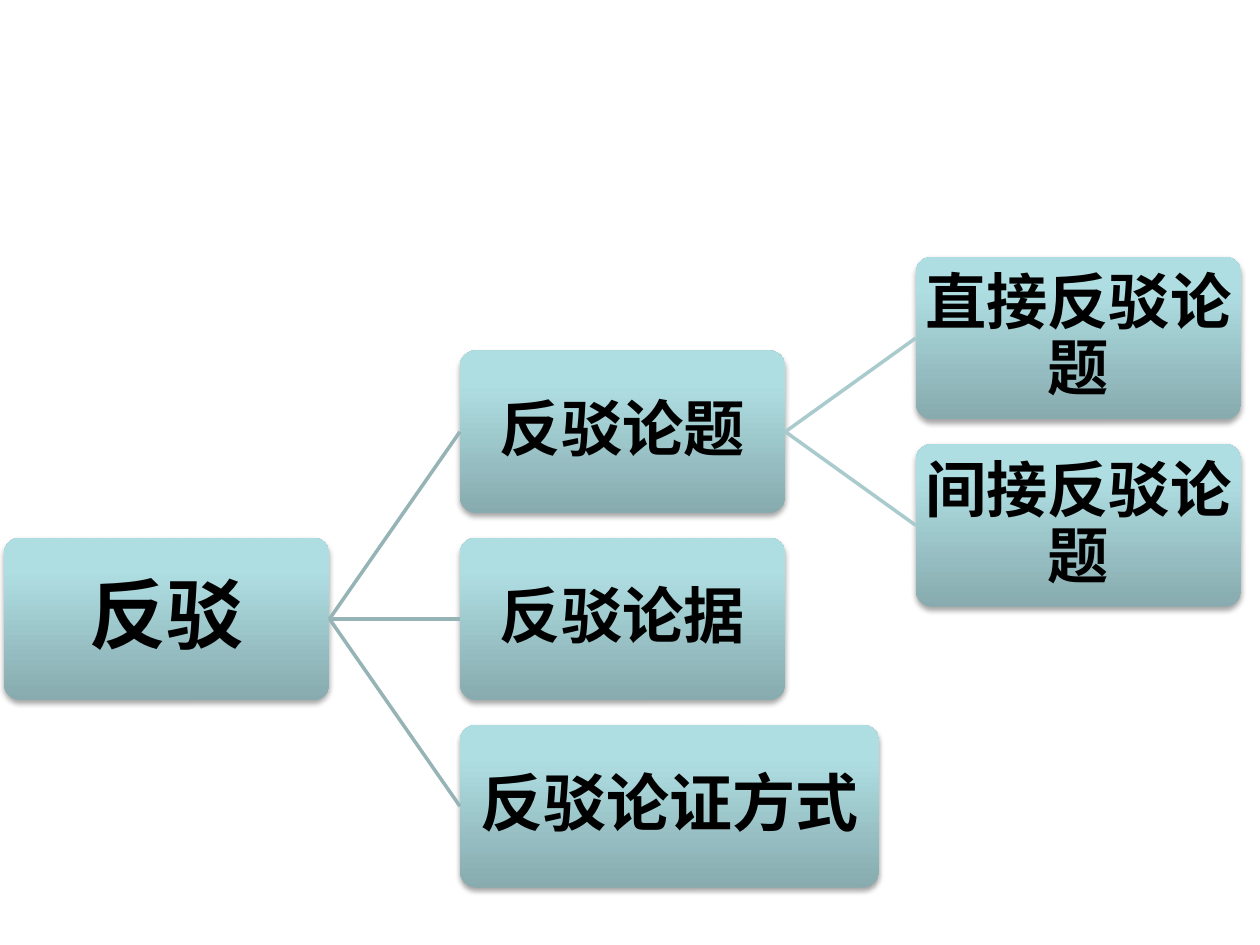
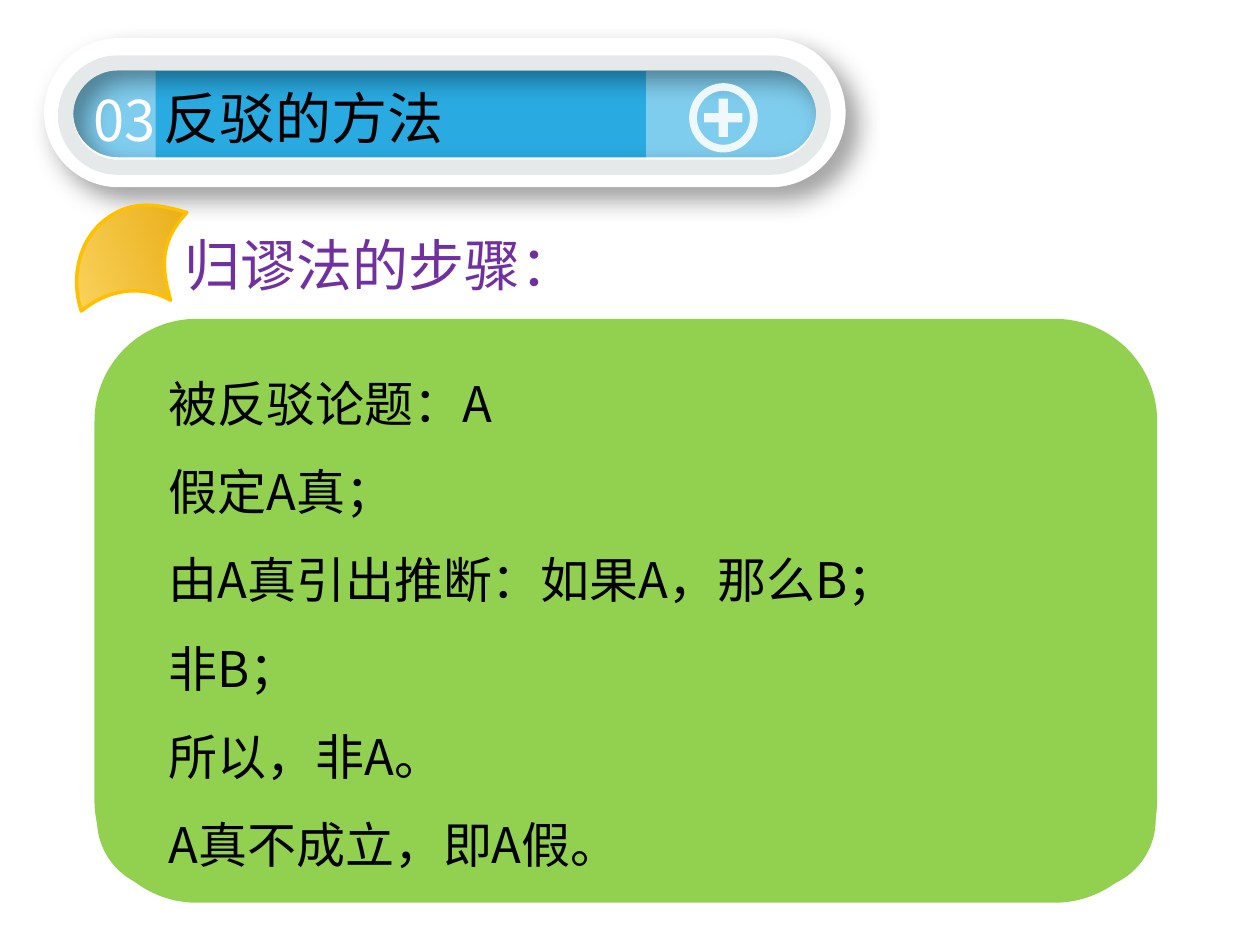
import math

import lxml.etree
import pptx
import pptx.dml.color
import pptx.enum.shapes
import pptx.enum.text
import pptx.oxml.ns
import pptx.util

Pt = pptx.util.Pt
SHAPES = pptx.enum.shapes.MSO_SHAPE
ANCHOR = pptx.enum.text.MSO_ANCHOR
ALIGN = pptx.enum.text.PP_ALIGN
qn = pptx.oxml.ns.qn

# Content: name, parent, column, row, width, text size
TREE = [
    ("反驳", None, 0, 0, 186, 44),
    ("反驳论题", "反驳", 1, -1, 186, 35),
    ("反驳论据", "反驳", 1, 0, 186, 35),
    ("反驳论证方式", "反驳", 1, 1, 239.6, 36),
    ("直接反驳论题", "反驳论题", 2, -1.5, 186, 35),
    ("间接反驳论题", "反驳论题", 2, -0.5, 186, 35),
]
SECTION_NUMBER = "03"
SECTION_TITLE = "反驳的方法"
STEPS_HEADING = "归谬法的步骤："
STEPS = [
    "被反驳论题：A",
    "假定A真；",
    "由A真引出推断：如果A，那么B；",
    "非B；",
    "所以，非A。",
    "A真不成立，即A假。",
]

# Shared style
FONT = "Noto Sans CJK SC"
COLORS = {
    "black": "000000", "white": "FFFFFF", "purple": "7030A0",
    "box_dark": "87ABAE", "box_light": "AFDEE2",
    "link_1": "96B3B6", "link_2": "AACBCE",
    "blue": "29ABE2", "light_blue": "7FCDEE", "rim": "E5E9EA",
    "green": "92D050", "gold": "FFC000",
    "leaf_dark": "E4A302", "leaf_light": "FFDD71",
}

# Tree grid
TREE_LEFT, TREE_MIDDLE = 2.3, 353.7
COLUMN_PITCH, ROW_PITCH, BOX_HEIGHT = 260.5, 107, 93

# Banner pills: left, top, width, height
BANNER_BAND = (41.8, 40.3, 424.8, 51)
BANNER_LEFT_END = (41.3, 40.3, 47.6, 51)
BANNER_RIGHT_END = (369.2, 40.3, 97.2, 51)
OUTER_RING = [(25.2, 21.8, 458, 85.2), (41.8, 38.9, 424.6, 51)]
INNER_RING = [(33.1, 31.7, 441.6, 68.2), (41.8, 40.3, 424.6, 51)]

# Plus icon
ICON_CIRCLES = [(393.8, 47.5, 39.2, 39.6), (398.2, 51.8, 30.4, 31)]
PLUS_CENTER, PLUS_REACH, PLUS_HALF_ARM = (413.3, 67.3), 10.9, 2.6

# Green panel: left, top, width, height, corner
PANEL_PARTS = [
    (54, 182.2, 607.2, 333.6, 0.175),
    (55.4, 428.4, 605, 80, 0.5),
    (55.4, 199.4, 605, 80, 0.5),
]

# Leaf outline as it stands: start, then cubic curves (control, control, end)
LEAF_ROTATION = 318.6
LEAF_START = (97.5, 171.5)
LEAF_CURVES = [
    ((81, 162.5), (62, 165), (46.5, 177.8)),
    ((40, 158), (45, 134), (64.8, 122.4)),
    ((78, 114.5), (92, 117), (106.8, 121.5)),
    ((93, 136), (91, 150), LEAF_START),
]


def rgb(name):
    return pptx.dml.color.RGBColor.from_string(COLORS[name])


def fill_solid(shape, color, opacity=100):
    shape.shadow.inherit = False
    shape.line.fill.background()
    shape.fill.solid()
    shape.fill.fore_color.rgb = rgb(color)
    if opacity < 100:
        tone = next(shape.element.spPr.iter(qn("a:srgbClr")))
        lxml.etree.SubElement(tone, qn("a:alpha"), val=str(opacity * 1000))


def fill_gradient(shape, first, last, last_position, angle):
    shape.shadow.inherit = False
    shape.line.fill.background()
    shape.fill.gradient()
    shape.fill.gradient_angle = angle
    stops = zip(shape.fill.gradient_stops, (first, last), (0, last_position))
    for stop, color, position in stops:
        stop.color.rgb = rgb(color)
        stop.position = position


def add_shadow(shape, opacity, blur, distance, direction):
    effects = shape.element.spPr.find(qn("a:effectLst"))
    shadow = lxml.etree.SubElement(
        effects, qn("a:outerShdw"), blurRad=str(Pt(blur)), dist=str(Pt(distance)),
        dir=str(direction * 60000), algn="ctr", rotWithShape="0")
    tone = lxml.etree.SubElement(shadow, qn("a:srgbClr"), val=COLORS["black"])
    lxml.etree.SubElement(tone, qn("a:alpha"), val=str(opacity * 1000))


def add_preset(slide, kind, left, top, width, height, adjustment):
    shape = slide.shapes.add_shape(kind, Pt(left), Pt(top), Pt(width), Pt(height))
    shape.adjustments[0] = adjustment
    return shape


def add_outline(slide, contours):
    """Each contour is a start point and a list of cubic curves."""
    builder = None
    for start, curves in contours:
        first = Pt(start[0]), Pt(start[1])
        if builder is None:
            builder = slide.shapes.build_freeform(*first)
        else:
            builder.move_to(*first)
        builder.add_line_segments(
            [(Pt(x), Pt(y)) for curve in curves for x, y in curve], close=True)
    shape = builder.convert_to_shape()

    # Every three straight segments become one cubic curve
    segments = list(shape.element.spPr.iter(qn("a:lnTo")))
    for index in range(0, len(segments), 3):
        curve = lxml.etree.Element(qn("a:cubicBezTo"))
        segments[index].addprevious(curve)
        for segment in segments[index:index + 3]:
            curve.append(segment[0])
            segment.getparent().remove(segment)
    return shape


def straight(*point):
    return (point, point, point)


def pill(left, top, width, height, round_left=True, round_right=True):
    radius, right, bottom = height / 2, left + width, top + height
    middle = top + radius
    handle = 0.55 * radius

    def end(side, inner, outward, start_y, end_y):
        reach = outward * handle
        lift = handle if start_y < end_y else -handle
        return [
            ((inner + reach, start_y), (side, middle - lift), (side, middle)),
            ((side, middle + lift), (inner + reach, end_y), (inner, end_y)),
        ]

    right_inner = right - radius if round_right else right
    left_inner = left + radius if round_left else left
    right_side = end(right, right_inner, 1, top, bottom) if round_right else [straight(right, bottom)]
    left_side = end(left, left_inner, -1, bottom, top) if round_left else [straight(left, top)]
    curves = right_side + [straight(left_inner, bottom)] + left_side + [straight(right_inner, top)]
    return (right_inner, top), curves


def plus(center, reach, arm):
    corner = [(arm, -reach), (arm, -arm), (reach, -arm)]
    points = []
    for _ in range(4):
        points += [(center[0] + x, center[1] + y) for x, y in corner]
        corner = [(-y, x) for x, y in corner]
    return points[0], [straight(*point) for point in points[1:]]


def rotate(point, degrees):
    cosine, sine = math.cos(math.radians(degrees)), math.sin(math.radians(degrees))
    return point[0] * cosine - point[1] * sine, point[0] * sine + point[1] * cosine


def write(shape, lines, size, color, font=FONT, bold=False, align=ALIGN.LEFT,
          spacing=1.0, wrap=True, anchor=ANCHOR.TOP):
    frame = shape.text_frame
    frame.text = "\n".join(lines)
    frame.word_wrap = wrap
    frame.auto_size = pptx.enum.text.MSO_AUTO_SIZE.NONE
    frame.vertical_anchor = anchor
    for paragraph in frame.paragraphs:
        paragraph.alignment = align
        paragraph.line_spacing = spacing
        paragraph.space_before = Pt(0)
        paragraph.font.name = font
        paragraph.font.size = Pt(size)
        paragraph.font.bold = bold
        paragraph.font.color.rgb = rgb(color)


def add_text(slide, left, top, width, height, lines, size, color, **style):
    box = slide.shapes.add_textbox(Pt(left), Pt(top), Pt(width), Pt(height))
    write(box, lines, size, color, **style)


def build_tree(slide):
    boxes = {}
    for name, parent, column, row, width, size in TREE:
        box = add_preset(
            slide, SHAPES.ROUNDED_RECTANGLE, TREE_LEFT + column * COLUMN_PITCH,
            TREE_MIDDLE + row * ROW_PITCH - BOX_HEIGHT / 2, width, BOX_HEIGHT, 0.1)
        fill_gradient(box, "box_dark", "box_light", 0.8, 90)
        add_shadow(box, 35, 3.1, 1.8, 90)
        frame = box.text_frame
        frame.margin_left = frame.margin_right = Pt(1.5)
        frame.margin_top = frame.margin_bottom = Pt(1.5)
        write(box, [name], size, "black", font="Arial", bold=True,
              align=ALIGN.CENTER, spacing=0.9, anchor=ANCHOR.MIDDLE)
        boxes[name] = box
        if parent:
            link = slide.shapes.add_connector(
                pptx.enum.shapes.MSO_CONNECTOR.STRAIGHT, 0, 0, 0, 0)
            link.begin_connect(boxes[parent], 3)
            link.end_connect(box, 1)
            link.line.color.rgb = rgb(f"link_{column}")
            link.line.width = Pt(2)
            lxml.etree.SubElement(link.element.spPr, qn("a:effectLst"))


def build_banner(slide):
    # Coloured band with lighter ends
    fill_solid(add_outline(slide, [pill(*BANNER_BAND)]), "blue")
    fill_solid(add_outline(slide, [pill(*BANNER_RIGHT_END, round_left=False)]), "light_blue")
    fill_solid(add_outline(slide, [pill(*BANNER_LEFT_END, round_right=False)]), "light_blue")

    # Rings around the band
    outer = add_outline(slide, [pill(*place) for place in OUTER_RING])
    fill_solid(outer, "white")
    add_shadow(outer, 40, 14, 9, 45)
    fill_solid(add_outline(slide, [pill(*place) for place in INNER_RING]), "rim")

    # Number, plus icon and title
    add_text(slide, 46.4, 45.4, 52.6, 46, [SECTION_NUMBER], 32, "white", wrap=False)
    circles = [pill(*place) for place in ICON_CIRCLES]
    sign = plus(PLUS_CENTER, PLUS_REACH, PLUS_HALF_ARM)
    fill_solid(add_outline(slide, circles + [sign]), "white", 88)
    title = slide.shapes.title
    title.left, title.top, title.width, title.height = Pt(86.4), Pt(43.9), Pt(189.6), Pt(46)
    write(title, [SECTION_TITLE], 32, "black")
    slide.shapes.element.append(title.element)


def build_steps(slide):
    add_text(slide, 98.6, 128.2, 240.5, 46, [STEPS_HEADING], 32, "purple", wrap=False)
    for *place, corner in PANEL_PARTS:
        fill_solid(add_preset(slide, SHAPES.ROUNDED_RECTANGLE, *place, corner), "green")
    add_text(slide, 89.3, 193, 574.6, 312.5, STEPS, 28, "black", spacing=1.5)

    # Leaf beside the heading: drawn level, then turned about its centre
    curves = [[rotate(point, -LEAF_ROTATION) for point in curve] for curve in LEAF_CURVES]
    leaf = add_outline(slide, [(rotate(LEAF_START, -LEAF_ROTATION), curves)])
    center_x, center_y = rotate(
        (leaf.left + leaf.width / 2, leaf.top + leaf.height / 2), LEAF_ROTATION)
    leaf.left, leaf.top = round(center_x - leaf.width / 2), round(center_y - leaf.height / 2)
    leaf.rotation = LEAF_ROTATION
    fill_gradient(leaf, "leaf_dark", "leaf_light", 1, 160)
    leaf.line.color.rgb = rgb("gold")
    leaf.line.width = Pt(2)


def main():
    presentation = pptx.Presentation()
    presentation.slide_width, presentation.slide_height = Pt(720), Pt(540)
    title_only, blank = presentation.slide_layouts[5], presentation.slide_layouts[6]

    build_tree(presentation.slides.add_slide(blank))

    method_slide = presentation.slides.add_slide(title_only)
    build_banner(method_slide)
    build_steps(method_slide)

    presentation.save("out.pptx")


if __name__ == "__main__":
    main()
